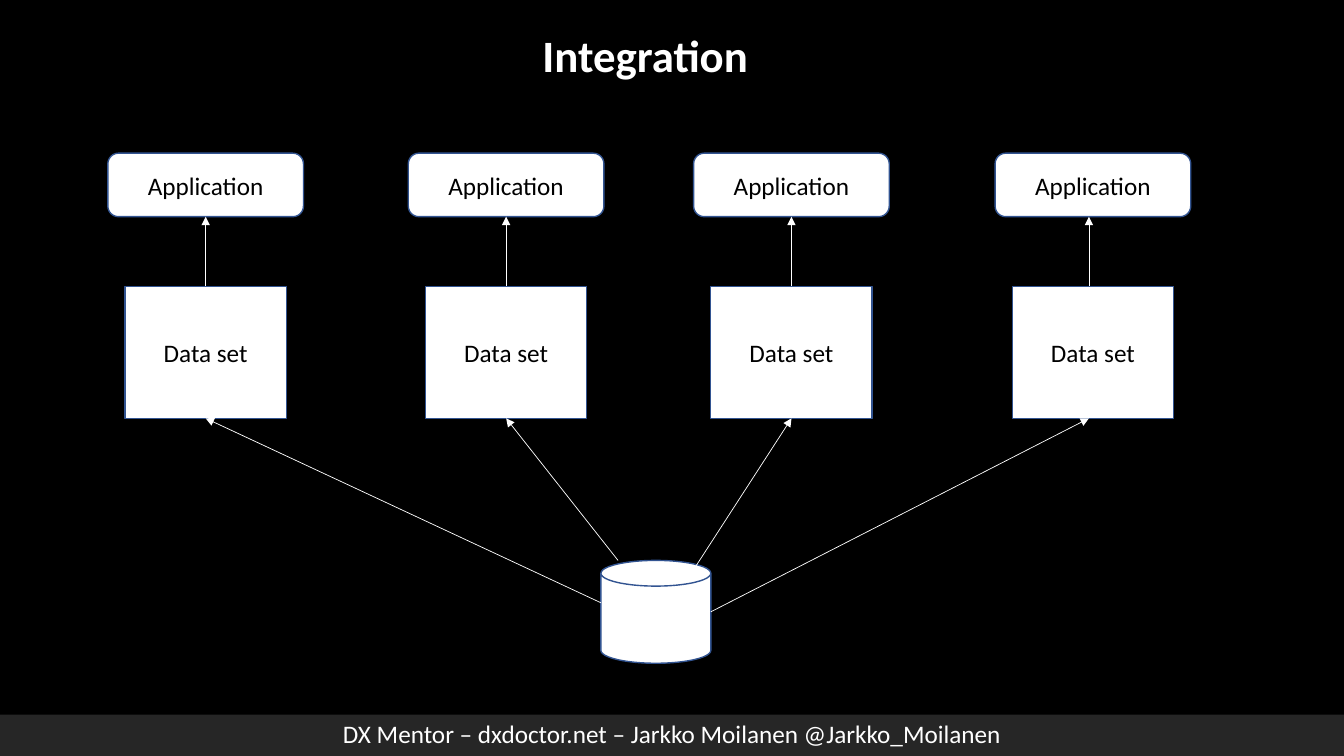
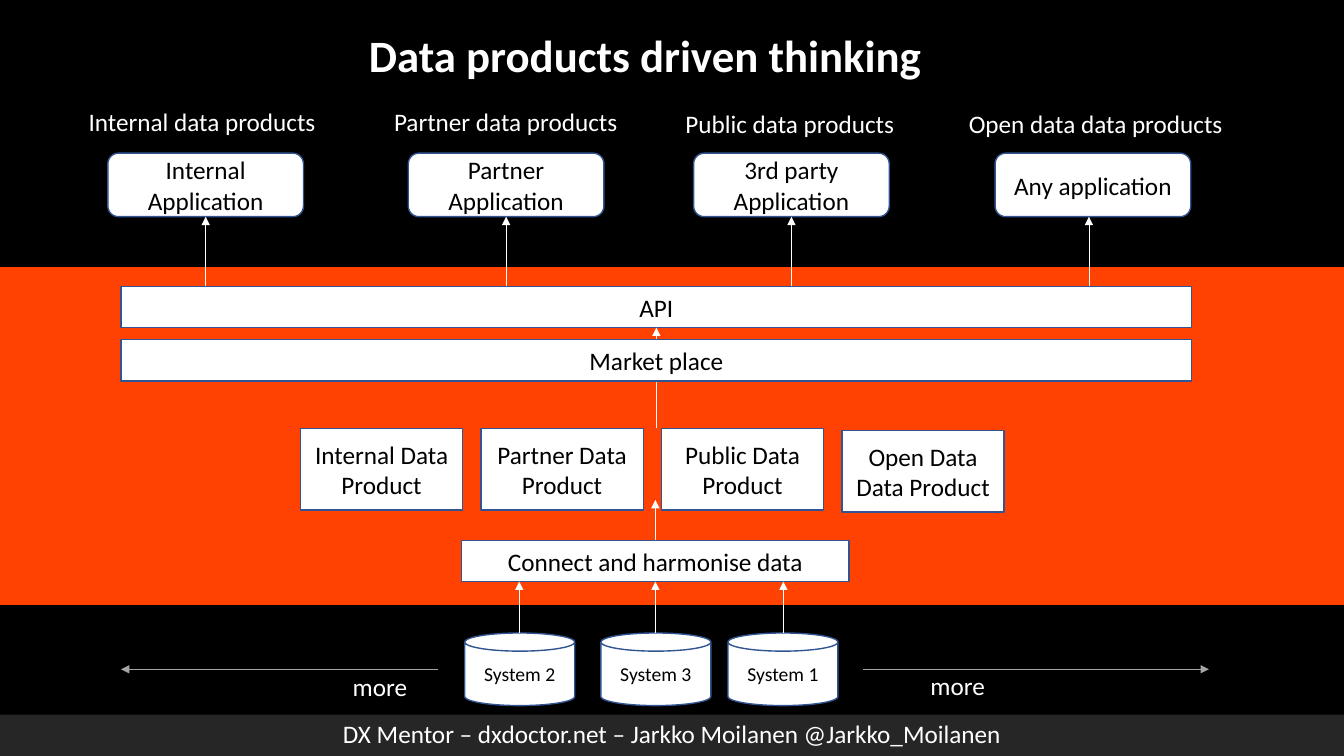
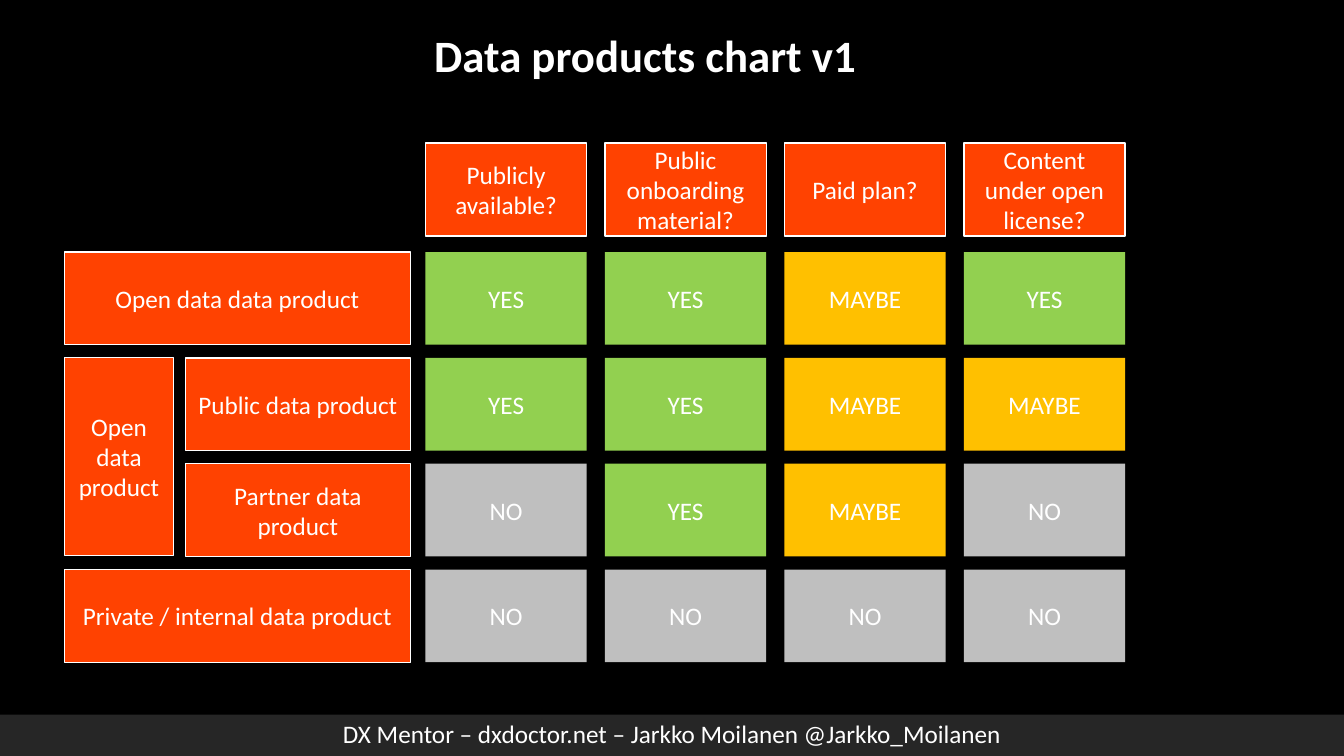
"""Build three slides on data integration and data products."""
from lxml import etree
from pptx import Presentation
from pptx.dml.color import RGBColor
from pptx.enum.shapes import MSO_CONNECTOR, MSO_SHAPE as Shape
from pptx.enum.text import MSO_ANCHOR, MSO_AUTO_SIZE, PP_ALIGN
from pptx.oxml.ns import qn
from pptx.util import Inches, Pt

BLACK = RGBColor(0x00, 0x00, 0x00)
WHITE = RGBColor(0xFF, 0xFF, 0xFF)
CHARCOAL = RGBColor(0x26, 0x26, 0x26)
NAVY = RGBColor(0x32, 0x54, 0x91)
ORANGE = RGBColor(0xFF, 0x42, 0x01)
GREEN = RGBColor(0x92, 0xD0, 0x50)
AMBER = RGBColor(0xFF, 0xC0, 0x00)
SILVER = RGBColor(0xBF, 0xBF, 0xBF)
GRAY = RGBColor(0xA5, 0xA5, 0xA5)
FONT = "Calibri"
FOOTER = "DX Mentor – dxdoctor.net – Jarkko Moilanen @Jarkko_Moilanen"


def add_box(slide, kind, bounds, text="", fill=WHITE, line=NAVY, color=BLACK, size=18):
    shape = slide.shapes.add_shape(kind, *map(Inches, bounds))
    shape.shadow.inherit = False
    shape.fill.solid()
    shape.fill.fore_color.rgb = fill
    if line is None:
        shape.line.fill.background()
    else:
        shape.line.color.rgb = line
        shape.line.width = Pt(1)
    if text:
        shape.text_frame.text = text
        paragraph = shape.text_frame.paragraphs[0]
        paragraph.alignment = PP_ALIGN.CENTER
        paragraph.font.name = FONT
        paragraph.font.size = Pt(size)
        paragraph.font.color.rgb = color
    return shape


def add_arrow(slide, start, end, color=WHITE):
    arrow = slide.shapes.add_connector(MSO_CONNECTOR.STRAIGHT, *map(Inches, start + end))
    arrow.line.color.rgb = color
    arrow.line.width = Pt(0.5)
    properties = arrow._element.spPr
    etree.SubElement(properties.find(qn("a:ln")), qn("a:tailEnd"), type="triangle")
    etree.SubElement(properties, qn("a:effectLst"))
    return arrow


presentation = Presentation()
presentation.slide_width = Inches(13.33)
presentation.slide_height = Inches(7.5)
background = presentation.slide_master.background.fill
background.solid()
background.fore_color.rgb = BLACK

layout = presentation.slide_layouts.get_by_name("Title Only")
layout_title = layout.placeholders[0]
layout_title.left, layout_title.top = Inches(0.21), Inches(0.22)
layout_title.width, layout_title.height = Inches(12.38), Inches(0.64)
layout_title.text_frame.vertical_anchor = MSO_ANCHOR.TOP

slides = []
for title in ("Integration", "Data products driven thinking", "Data products chart v1"):
    slide = presentation.slides.add_slide(layout)
    slide.shapes.title.text = title
    paragraph = slide.shapes.title.text_frame.paragraphs[0]
    paragraph.alignment = PP_ALIGN.CENTER
    paragraph.font.name = FONT
    paragraph.font.size = Pt(32)
    paragraph.font.bold = True
    paragraph.font.color.rgb = WHITE
    footer = add_box(slide, Shape.RECTANGLE, (0, 7.09, 13.33, 0.41), FOOTER,
                     CHARCOAL, None, WHITE)
    footer.text_frame.paragraphs[0].line_spacing = 0.9
    slides.append(slide)
integration, thinking, chart = slides

APPLICATION_LEFTS = (1.07, 4.05, 6.88, 9.87)
APPLICATION_WIDTH = 1.94
ARROW_CENTERS = (2.04, 5.02, 7.85, 10.8)
OFF_CENTER = 10.8

add_box(integration, Shape.CAN, (5.96, 5.56, 1.09, 1.02))
database_exits = ((5.96, 5.98), (6.13, 5.56), (6.88, 5.65), (7.05, 6.07))
for left, center, database_exit in zip(APPLICATION_LEFTS, ARROW_CENTERS, database_exits):
    application = add_box(integration, Shape.ROUNDED_RECTANGLE,
                          (left, 1.52, APPLICATION_WIDTH, 0.63), "Application")
    data_set = add_box(integration, Shape.RECTANGLE, (left + 0.17, 2.84, 1.6, 1.31), "Data set")
    application_arrow = add_arrow(integration, (center, 2.84), (center, 2.15))
    database_arrow = add_arrow(integration, database_exit, (center, 4.15))
    if center != OFF_CENTER:
        application_arrow.begin_connect(data_set, 0)
        application_arrow.end_connect(application, 2)
        database_arrow.end_connect(data_set, 2)

add_box(thinking, Shape.RECTANGLE, (0, 2.65, 13.33, 3.35), fill=ORANGE, line=None)
api = add_box(thinking, Shape.RECTANGLE, (1.2, 2.84, 10.62, 0.41), "API")
add_arrow(thinking, (6.51, 4.25), (6.51, 3.25)).end_connect(api, 2)
add_box(thinking, Shape.RECTANGLE, (1.2, 3.37, 10.62, 0.41), "Market place")

applications = ("Internal Application", "Partner Application",
                "3rd party Application", "Any application")
for left, center, text in zip(APPLICATION_LEFTS, ARROW_CENTERS, applications):
    application = add_box(thinking, Shape.ROUNDED_RECTANGLE,
                          (left, 1.52, APPLICATION_WIDTH, 0.63), text)
    arrow = add_arrow(thinking, (center, 2.84), (center, 2.15))
    if center != OFF_CENTER:
        arrow.end_connect(application, 2)

labels = (
    ("Internal data products", 0.78, 1.01, 2.48),
    ("Partner data products", 3.81, 1.01, 2.53),
    ("Public data products", 6.7, 1.03, 2.3),
    ("Open data data products", 9.51, 1.03, 2.75),
    ("more", 3.4, 6.61, 0.75),
    ("more", 9.13, 6.6, 0.75),
)
for text, left, top, width in labels:
    label = thinking.shapes.add_textbox(*map(Inches, (left, top, width, 0.4)))
    label.text_frame.word_wrap = False
    label.text_frame.auto_size = MSO_AUTO_SIZE.SHAPE_TO_FIT_TEXT
    label.text_frame.text = text
    paragraph = label.text_frame.paragraphs[0]
    paragraph.font.name = FONT
    paragraph.font.size = Pt(18)
    paragraph.font.color.rgb = WHITE

products = (("Internal Data Product", 4.25), ("Partner Data Product", 4.25),
            ("Public Data Product", 4.25), ("Open Data Data Product", 4.27))
for column, (text, top) in enumerate(products):
    add_box(thinking, Shape.RECTANGLE, (2.98 + 1.79 * column, top, 1.61, 0.81), text)

harmonise = add_box(thinking, Shape.RECTANGLE, (4.58, 5.36, 3.84, 0.41),
                    "Connect and harmonise data")
add_arrow(thinking, (6.5, 5.36), (6.5, 4.96)).begin_connect(harmonise, 0)
for text, left, center in (("System 2", 4.61, 5.15), ("System 3", 5.96, 6.5),
                           ("System 1", 7.22, 7.77)):
    add_box(thinking, Shape.CAN, (left, 6.28, 1.09, 0.72), text, size=14)
    arrow = add_arrow(thinking, (center, 6.28), (center, 5.77))
    if center == 6.5:
        arrow.end_connect(harmonise, 2)
for start, end in ((4.34, 1.2), (8.56, 11.99)):
    add_arrow(thinking, (start, 6.64), (end, 6.64), GRAY)

CELL_HEIGHT = 0.92
column_lefts = [4.22 + 1.78 * column for column in range(4)]
row_tops = [2.5 + 1.05 * row for row in range(4)]

questions = ("Publicly available?", "Public onboarding material?",
             "Paid plan?", "Content under open license?")
headings = [(text, left, 1.42, 1.6, CELL_HEIGHT) for text, left in zip(questions, column_lefts)]
headings += [
    ("Open data data product", 0.64, row_tops[0], 3.43, CELL_HEIGHT),
    ("Open data product", 0.64, row_tops[1], 1.08, 1.96),
    ("Public data product", 1.84, row_tops[1], 2.23, CELL_HEIGHT),
    ("Partner data product", 1.84, row_tops[2], 2.23, CELL_HEIGHT),
    ("Private / internal data product", 0.64, row_tops[3], 3.43, CELL_HEIGHT),
]
for text, *bounds in headings:
    add_box(chart, Shape.RECTANGLE, bounds, text, ORANGE, WHITE, WHITE)

answer_fills = {"YES": GREEN, "MAYBE": AMBER, "NO": SILVER}
answer_rows = (
    ("YES", "YES", "MAYBE", "YES"),
    ("YES", "YES", "MAYBE", "MAYBE"),
    ("NO", "YES", "MAYBE", "NO"),
    ("NO", "NO", "NO", "NO"),
)
for top, answers in zip(row_tops, answer_rows):
    for left, answer in zip(column_lefts, answers):
        add_box(chart, Shape.RECTANGLE, (left, top, 1.6, CELL_HEIGHT), answer,
                answer_fills[answer], None, WHITE)

presentation.save("out.pptx")
